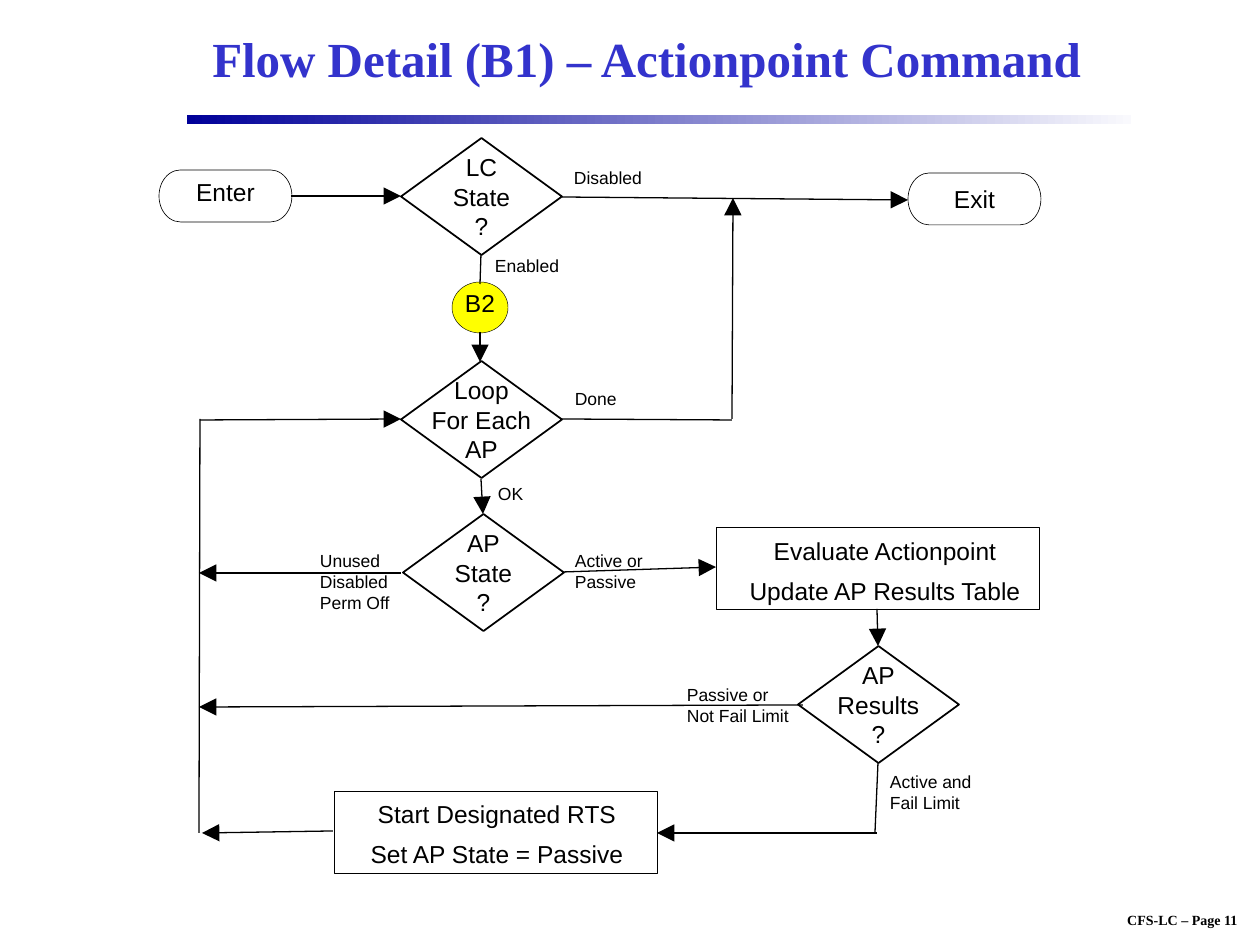
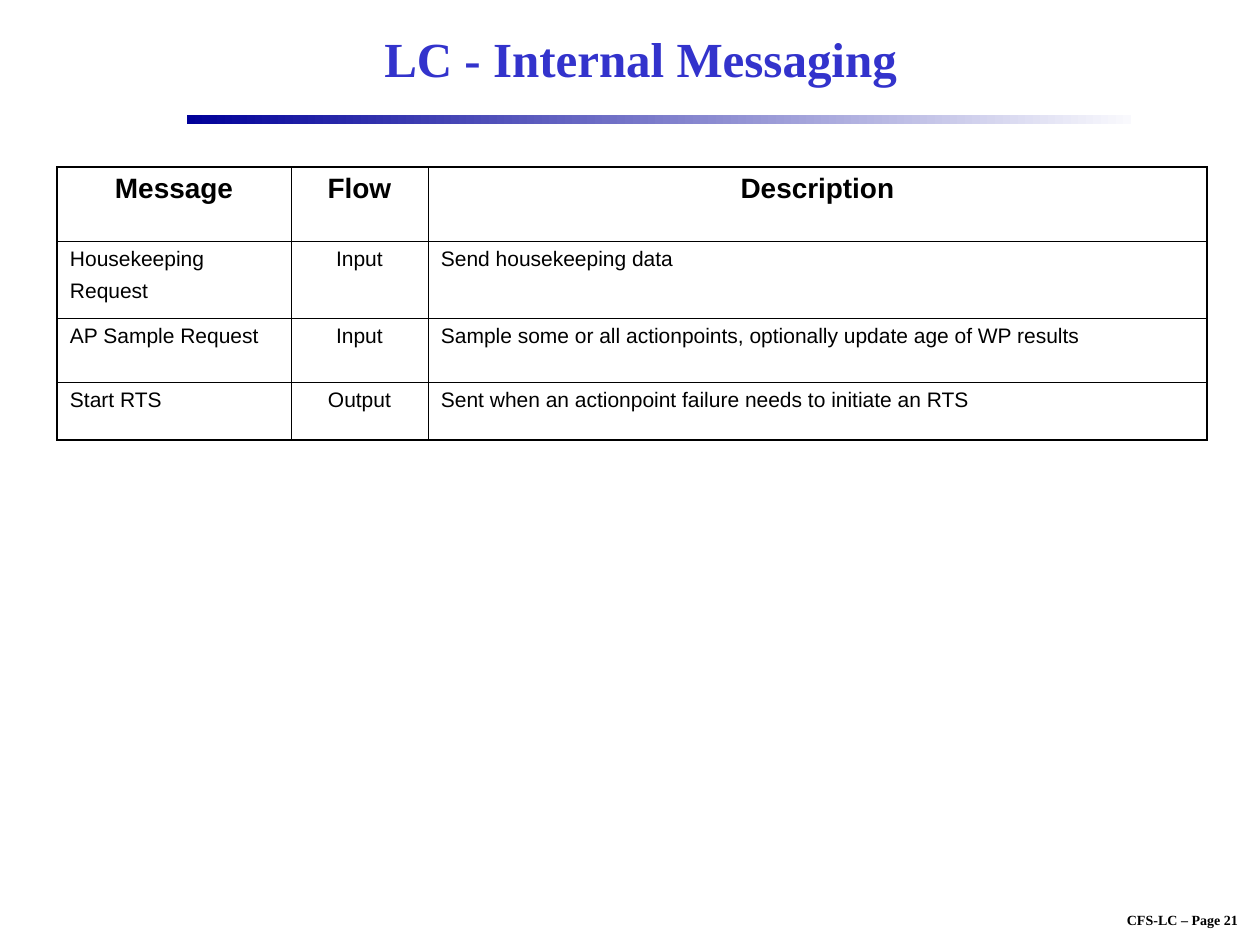
from lxml.etree import SubElement
from pptx import Presentation
from pptx.dml.color import RGBColor
from pptx.enum.shapes import MSO_CONNECTOR, MSO_SHAPE
from pptx.enum.text import MSO_ANCHOR, PP_ALIGN
from pptx.oxml import parse_xml
from pptx.oxml.ns import nsdecls, qn
from pptx.util import Emu, Pt

EMU_PER_PX = 914400 / 126
SLIDE_SIZE = (1260, 945)

BLACK = "000000"
TITLE_BLUE = "3333CC"
BAND_START, BAND_END = "000099", "F9F9FD"
YELLOW = "FFFF00"

TITLE = {"size": Pt(28), "name": "Times New Roman", "bold": True, "color": TITLE_BLUE}
FOOTER = {"size": Pt(8), "name": "Times New Roman", "bold": True, "color": BLACK}
NODE = {"size": Pt(14), "name": "Arial", "bold": False, "color": BLACK}
LABEL = {**NODE, "size": Pt(10)}
TABLE_HEAD = {**NODE, "size": Pt(16), "bold": True}
TABLE_BODY = {**NODE, "size": Pt(12)}

TEXT_INSETS = (13, 6, 13, 6)
LABEL_INSETS = (13, 6, 0, 0)
NO_INSETS = (0, 0, 0, 0)
THICK, THIN = 1.08, 0.45

DIAMOND_SIZE = (161, 117)
TERMINAL_SIZE = (133, 52)
PROCESS_SIZE = (324, 82)

# Everything in the flow chart is measured from the top left of its box.
TERMINALS = [
    ("Enter", (0, 32), (0, 0, 0, 8)),
    ("Exit", (749, 35), NO_INSETS),
]
DECISIONS = [
    ("LC\nState\n?", (242, 0)),
    ("Loop\nFor Each\nAP", (242, 223)),
    ("AP\nState\n?", (244, 376)),
    ("AP\nResults\n?", (639, 508)),
]
PROCESSES = [
    ("Evaluate Actionpoint\nUpdate AP Results Table", (557, 389), (14, 6, 0, 0)),
    ("Start Designated RTS\nSet AP State = Passive", (175, 653), (2, 3, 0, 0)),
]
LABELS = [
    ("Disabled", (402, 23, 100, 34)),
    ("Enabled", (323, 111, 100, 34)),
    ("Done", (403, 244, 100, 34)),
    ("OK", (326, 339, 100, 34)),
    ("Unused\nDisabled\nPerm Off", (148, 406, 100, 76)),
    ("Active or\nPassive", (403, 406, 100, 55)),
    ("Passive or\nNot Fail Limit", (515, 540, 140, 55)),
    ("Active and\nFail Limit", (718, 627, 120, 55)),
]
ARROWS = [
    ((132, 58), (242, 58)),
    ((403, 59), (749, 62)),
    ((321, 194), (321, 224)),
    ((322, 341), (324, 376)),
    ((573, 281), (574, 60)),
    ((41, 282), (242, 281)),
    ((242, 435), (40, 435)),
    ((404, 434), (557, 429)),
    ((718, 471), (719, 508)),
    ((644, 567), (40, 569)),
    ((718, 695), (498, 695)),
    ((174, 693), (43, 695)),
]
PLAIN_LINES = [
    ((322, 116), (321, 146)),
    ((403, 281), (573, 282)),
    ((40, 695), (41, 281)),
    ((719, 625), (716, 695)),
]

COLUMN_WIDTHS = (234, 137, 779)
ROW_HEIGHTS = (74, 77, 64, 58)
MESSAGES = [
    ("Message", "Flow", "Description"),
    ("Housekeeping\nRequest", "Input", "Send housekeeping data"),
    ("AP Sample Request", "Input",
     "Sample some or all actionpoints, optionally update age of WP results"),
    ("Start RTS", "Output", "Sent when an actionpoint failure needs to initiate an RTS"),
]


def px(length):
    return Emu(round(length * EMU_PER_PX))


def emu_box(box):
    return [px(length) for length in box]


def rgb(color):
    return RGBColor.from_string(color)


def write_text(text_frame, text, style, align=PP_ALIGN.CENTER, space_before=0):
    """Write one paragraph per line; the space goes before all but the first."""
    for index, line in enumerate(text.split("\n")):
        paragraph = text_frame.add_paragraph() if index else text_frame.paragraphs[0]
        paragraph.alignment = align
        paragraph.space_before = Pt(space_before if index else 0)
        run = paragraph.add_run()
        run.text = line
        for name, value in style.items():
            if name == "color":
                run.font.color.rgb = rgb(value)
            else:
                setattr(run.font, name, value)


def set_frame(frame, insets, anchor):
    """Set the insets and anchor of a text frame or a table cell."""
    for side, inset in zip(("left", "top", "right", "bottom"), insets):
        setattr(frame, f"margin_{side}", px(inset))
    frame.vertical_anchor = anchor


def add_text(slide, box, text, style, align=PP_ALIGN.CENTER,
             anchor=MSO_ANCHOR.TOP, insets=TEXT_INSETS):
    text_frame = slide.shapes.add_textbox(*emu_box(box)).text_frame
    text_frame.word_wrap = True
    set_frame(text_frame, insets, anchor)
    write_text(text_frame, text, style, align)


def add_node(slide, kind, box, text, line_width, insets=NO_INSETS, fill=None,
             space_before=0):
    shape = slide.shapes.add_shape(kind, *emu_box(box))
    shape.shadow.inherit = False
    if fill:
        shape.fill.solid()
        shape.fill.fore_color.rgb = rgb(fill)
    else:
        shape.fill.background()
    shape.line.color.rgb = rgb(BLACK)
    shape.line.width = Pt(line_width)
    shape.text_frame.word_wrap = False
    set_frame(shape.text_frame, insets, MSO_ANCHOR.MIDDLE)
    write_text(shape.text_frame, text, NODE, space_before=space_before)


def add_line(slide, start, end, arrow):
    connector = slide.shapes.add_connector(
        MSO_CONNECTOR.STRAIGHT, *emu_box((*start, *end)))
    connector.line.color.rgb = rgb(BLACK)
    connector.line.width = Pt(0.75)
    if arrow:
        SubElement(connector.line._get_or_add_ln(), qn("a:tailEnd"),
                   type="triangle", w="lg", len="lg")
    SubElement(connector._element.spPr, qn("a:effectLst"))


def add_band(slide, box):
    band = slide.shapes.add_shape(MSO_SHAPE.RECTANGLE, *emu_box(box))
    band.shadow.inherit = False
    band.line.fill.background()
    band.fill.gradient()
    band.fill.gradient_angle = 0
    for stop, position, color in zip(
            band.fill.gradient_stops, (0, 1), (BAND_START, BAND_END)):
        stop.position = position
        stop.color.rgb = rgb(color)


def add_base_slide(presentation, title, title_width, page):
    slide = presentation.slides.add_slide(presentation.slide_layouts[6])
    add_text(slide, (1083, 905, 199, 29), f"CFS-LC – Page {page}", FOOTER)
    add_band(slide, (187, 115, 944, 9))
    add_text(slide, (189, 10, title_width, 95), title, TITLE, anchor=MSO_ANCHOR.MIDDLE)
    return slide


def add_flow_chart(slide, box):
    left, top = box[:2]

    def place(position, size=()):
        return (left + position[0], top + position[1], *size)

    for text, position, insets in TERMINALS:
        add_node(slide, MSO_SHAPE.FLOWCHART_TERMINATOR,
                 place(position, TERMINAL_SIZE), text, 0.37, insets)
    for text, position in DECISIONS:
        add_node(slide, MSO_SHAPE.DIAMOND, place(position, DIAMOND_SIZE), text, 1)
    for text, position, insets in PROCESSES:
        add_node(slide, MSO_SHAPE.RECTANGLE, place(position, PROCESS_SIZE),
                 text, 0.5, insets, space_before=6.1)
    add_node(slide, MSO_SHAPE.OVAL, place((293, 144), (56, 51)), "B2", 0.25,
             (0, 0, 0, 9), YELLOW)
    for text, label_box in LABELS:
        add_text(slide, place(label_box, label_box[2:]), text, LABEL,
                 PP_ALIGN.LEFT, insets=LABEL_INSETS)
    for lines, arrow in ((ARROWS, True), (PLAIN_LINES, False)):
        for start, end in lines:
            add_line(slide, place(start), place(end), arrow)


def set_borders(cell, widths):
    """Set borders from point widths in the order left, right, top, bottom."""
    properties = cell._tc.get_or_add_tcPr()
    for index, (side, width) in enumerate(zip("LRTB", widths)):
        properties.insert(index, parse_xml(
            f'<a:ln{side} {nsdecls("a")} w="{Pt(width)}"><a:solidFill>'
            f'<a:srgbClr val="{BLACK}"/></a:solidFill></a:ln{side}>'))


def add_message_table(slide, box):
    last_row, last_column = len(ROW_HEIGHTS) - 1, len(COLUMN_WIDTHS) - 1
    table = slide.shapes.add_table(
        len(ROW_HEIGHTS), len(COLUMN_WIDTHS), *emu_box(box)).table
    table.first_row = table.horz_banding = False
    for column, width in zip(table.columns, COLUMN_WIDTHS):
        column.width = px(width)
    for row, height in zip(table.rows, ROW_HEIGHTS):
        row.height = px(height)
    for row_index, message in enumerate(MESSAGES):
        is_head = row_index == 0
        for column_index, text in enumerate(message):
            cell = table.cell(row_index, column_index)
            cell.fill.background()
            set_frame(cell, TEXT_INSETS, MSO_ANCHOR.TOP)
            centred = is_head or column_index == 1
            write_text(cell.text_frame, text, TABLE_HEAD if is_head else TABLE_BODY,
                       PP_ALIGN.CENTER if centred else PP_ALIGN.LEFT, 5.2)
            on_edge = (column_index == 0, column_index == last_column,
                       is_head, row_index == last_row)
            set_borders(cell, [THICK if edge else THIN for edge in on_edge])


def main():
    presentation = Presentation()
    presentation.slide_width, presentation.slide_height = emu_box(SLIDE_SIZE)
    flow_slide = add_base_slide(
        presentation, "Flow Detail (B1) – Actionpoint Command", 915, 11)
    add_flow_chart(flow_slide, (159, 138, 882, 736))
    message_slide = add_base_slide(presentation, "LC - Internal Messaging", 903, 21)
    add_message_table(message_slide, (57, 167, sum(COLUMN_WIDTHS), sum(ROW_HEIGHTS)))
    presentation.save("out.pptx")


if __name__ == "__main__":
    main()
